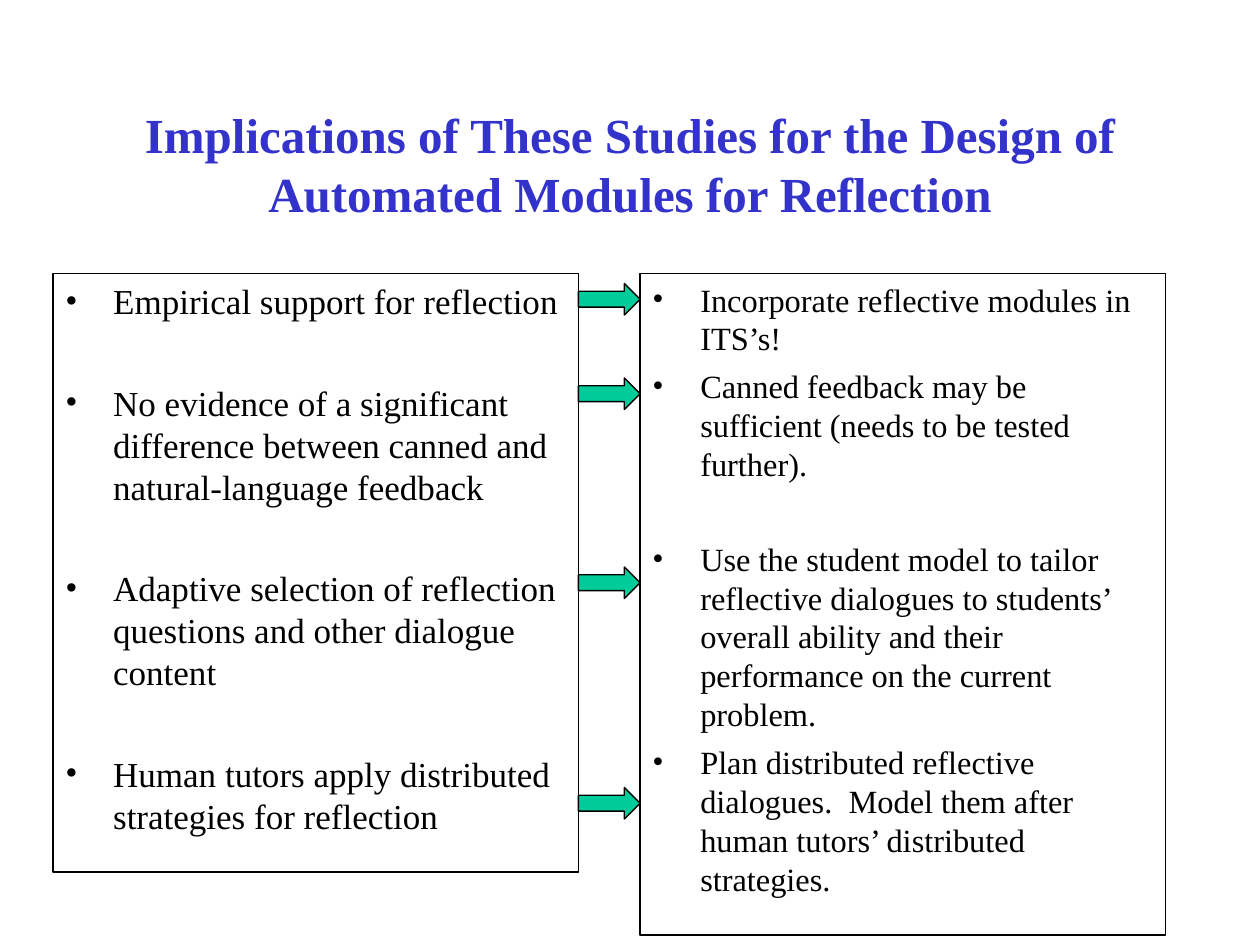
from pptx import Presentation
from pptx.dml.color import RGBColor
from pptx.enum.shapes import MSO_SHAPE as Shape
from pptx.enum.text import MSO_ANCHOR as Anchor, PP_ALIGN as Align
from pptx.oxml.ns import qn
from pptx.util import Inches, Pt
from lxml.etree import SubElement

TITLE = "Implications of These Studies for the Design of Automated Modules for Reflection"
COLUMNS = [
    {"left": 0.42, "height": 4.75, "size": 20, "items": [
        ("Empirical support for reflection", 0),
        ("No evidence of a significant difference between canned and "
         "natural-language feedback", 34),
        ("Adaptive selection of reflection questions and other dialogue content", 34),
        ("Human tutors apply distributed strategies for reflection", 34),
    ]},
    {"left": 5.08, "height": 5.25, "size": 18.5, "items": [
        ("Incorporate reflective modules in ITS’s!", 0),
        ("Canned feedback may be sufficient (needs to be tested further).", 5),
        ("Use the student model to tailor reflective dialogues to students’ "
         "overall ability and their performance on the current problem.", 32),
        ("Plan distributed reflective dialogues.  Model them after human "
         "tutors’ distributed strategies.", 5),
    ]},
]
ARROW_TOPS = [2.25, 3, 4.5, 6.25]
COLUMN_TOP, COLUMN_WIDTH = 2.17, 4.17
INDENT = Inches(0.38)


def color(value):
    return RGBColor.from_string(value)


def set_font(para, size, ink, bold=False):
    for name, value in {"name": "Times New Roman", "size": Pt(size), "bold": bold}.items():
        setattr(para.font, name, value)
    para.font.color.rgb = color(ink)


def add_bullet(para):
    props = para._p.get_or_add_pPr()
    props.set("marL", str(INDENT))
    props.set("indent", str(-INDENT))
    SubElement(props, qn("a:buFont"), typeface="Times New Roman")
    SubElement(props, qn("a:buChar"), char="•")


def add_outlined(page, kind, place, fill=None):
    shape = page.shapes.add_shape(kind, *map(Inches, place))
    shape.shadow.inherit = False
    if fill:
        shape.fill.solid()
        shape.fill.fore_color.rgb = color(fill)
    else:
        shape.fill.background()
    shape.line.color.rgb = color("000000")
    shape.line.width = Pt(0.75)
    return shape


def add_title(page):
    box = page.shapes.add_textbox(*map(Inches, (0.75, 0.67, 8.5, 1.25)))
    frame = box.text_frame
    frame.word_wrap = True
    frame.vertical_anchor = Anchor.MIDDLE
    para = frame.paragraphs[0]
    para.text = TITLE
    para.alignment = Align.CENTER
    set_font(para, 28, "3333CC", bold=True)


def add_column(page, column):
    place = (column["left"], COLUMN_TOP, COLUMN_WIDTH, column["height"])
    frame = add_outlined(page, Shape.RECTANGLE, place).text_frame
    frame.word_wrap = True
    frame.vertical_anchor = Anchor.TOP
    for index, (text, gap) in enumerate(column["items"]):
        para = frame.add_paragraph() if index else frame.paragraphs[0]
        para.text = text
        para.alignment = Align.LEFT
        para.space_before = Pt(gap)
        add_bullet(para)
        set_font(para, column["size"], "000000")


def main():
    deck = Presentation()
    deck.slide_width, deck.slide_height = Inches(10), Inches(7.5)
    page = deck.slides.add_slide(deck.slide_layouts[6])
    add_title(page)
    for column in COLUMNS:
        add_column(page, column)
    arrow_left = COLUMNS[0]["left"] + COLUMN_WIDTH
    arrow_width = COLUMNS[1]["left"] - arrow_left
    for top in ARROW_TOPS:
        add_outlined(page, Shape.RIGHT_ARROW, (arrow_left, top, arrow_width, 0.25), "00CC99")
    deck.save("out.pptx")


if __name__ == "__main__":
    main()
